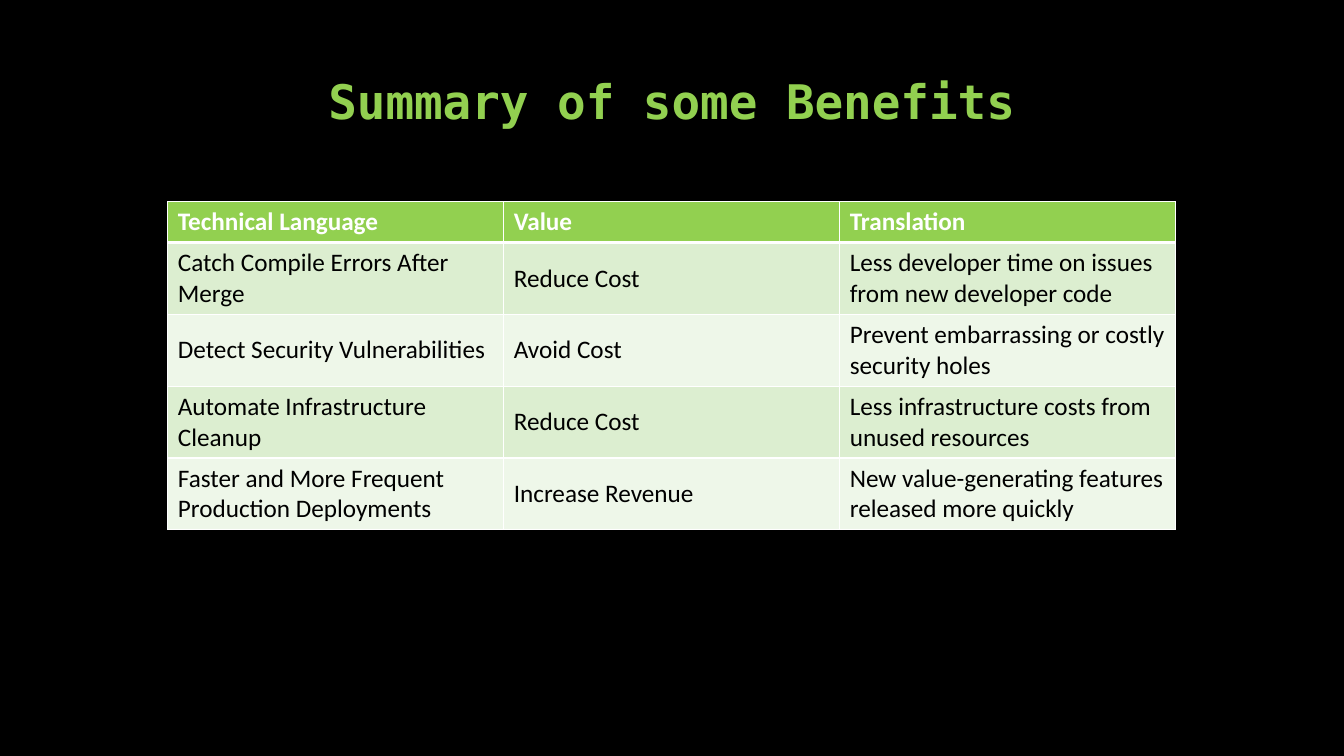
from lxml import etree
from pptx import Presentation
from pptx.dml.color import RGBColor
from pptx.enum.text import MSO_ANCHOR, PP_ALIGN
from pptx.oxml.ns import qn
from pptx.util import Cm, Pt

CENTER = PP_ALIGN.CENTER
LEFT = PP_ALIGN.LEFT
MIDDLE = MSO_ANCHOR.MIDDLE
BOTTOM = MSO_ANCHOR.BOTTOM

BLACK = RGBColor(0x00, 0x00, 0x00)
WHITE = RGBColor(0xFF, 0xFF, 0xFF)
GREEN = RGBColor(0x92, 0xD0, 0x50)
BAND_FILLS = (RGBColor(0xDC, 0xEE, 0xD0), RGBColor(0xEE, 0xF7, 0xE9))

TITLE_FORMAT = {"name": "DejaVu Sans Mono", "size": Pt(34), "bold": True}
HEADER_FORMAT = {"name": "Calibri", "size": Pt(18), "bold": True}
BODY_FORMAT = {"name": "Calibri", "size": Pt(18), "bold": False}

CONTENT_LEFT = Cm(4.23)
CONTENT_WIDTH = Cm(25.4)
HEADER_HEIGHT = Cm(1.03)
BODY_HEIGHT = Cm(1.81)
THIN = Pt(1)
THICK = Pt(3)

BENEFITS = [
    ("Technical Language", "Value", "Translation"),
    ("Catch Compile Errors After Merge", "Reduce Cost",
     "Less developer time on issues from new developer code"),
    ("Detect Security Vulnerabilities", "Avoid Cost",
     "Prevent embarrassing or costly security holes"),
    ("Automate Infrastructure Cleanup", "Reduce Cost",
     "Less infrastructure costs from unused resources"),
    ("Faster and More Frequent Production Deployments", "Increase Revenue",
     "New value-generating features released more quickly"),
]


def write_text(text_frame, text, font_format, color, alignment):
    """Fill the first paragraph with one formatted run."""
    paragraph = text_frame.paragraphs[0]
    paragraph.alignment = alignment
    run = paragraph.add_run()
    run.text = text
    for name, value in font_format.items():
        setattr(run.font, name, value)
    run.font.color.rgb = color
    return paragraph


def add_title(slide, text):
    box = slide.shapes.add_textbox(CONTENT_LEFT, Cm(1.27), CONTENT_WIDTH, Cm(2.12))
    text_frame = box.text_frame
    text_frame.word_wrap = True
    text_frame.vertical_anchor = BOTTOM
    paragraph = write_text(text_frame, text, TITLE_FORMAT, GREEN, CENTER)
    paragraph.line_spacing = 0.9


def set_borders(cell, top, bottom):
    """Draw white borders; they must stand before the fill in the cell."""
    properties = cell._tc.get_or_add_tcPr()
    widths = {"a:lnL": THIN, "a:lnR": THIN, "a:lnT": top, "a:lnB": bottom}
    for tag, width in widths.items():
        line = etree.SubElement(properties, qn(tag), w=str(int(width)))
        fill = etree.SubElement(line, qn("a:solidFill"))
        etree.SubElement(fill, qn("a:srgbClr"), val=str(WHITE))


def format_cell(cell, text, row_index):
    is_header = row_index == 0
    set_borders(cell, THICK if row_index == 1 else THIN, THICK if is_header else THIN)
    cell.fill.solid()
    cell.fill.fore_color.rgb = GREEN if is_header else BAND_FILLS[(row_index - 1) % 2]
    cell.vertical_anchor = MIDDLE
    write_text(cell.text_frame, text, HEADER_FORMAT if is_header else BODY_FORMAT,
               WHITE if is_header else BLACK, LEFT)


def add_benefits_table(slide, rows):
    height = HEADER_HEIGHT + BODY_HEIGHT * (len(rows) - 1)
    table = slide.shapes.add_table(len(rows), len(rows[0]), CONTENT_LEFT, Cm(5.08),
                                   CONTENT_WIDTH, height).table
    for row_index, texts in enumerate(rows):
        table.rows[row_index].height = BODY_HEIGHT if row_index else HEADER_HEIGHT
        for column_index, text in enumerate(texts):
            format_cell(table.cell(row_index, column_index), text, row_index)


def main():
    presentation = Presentation()
    presentation.slide_width = Cm(33.87)
    presentation.slide_height = Cm(19.05)
    slide = presentation.slides.add_slide(presentation.slide_layouts[6])

    # Background
    slide.background.fill.solid()
    slide.background.fill.fore_color.rgb = BLACK

    # Title and table
    add_title(slide, "Summary of some Benefits")
    add_benefits_table(slide, BENEFITS)

    presentation.save("out.pptx")


if __name__ == "__main__":
    main()
